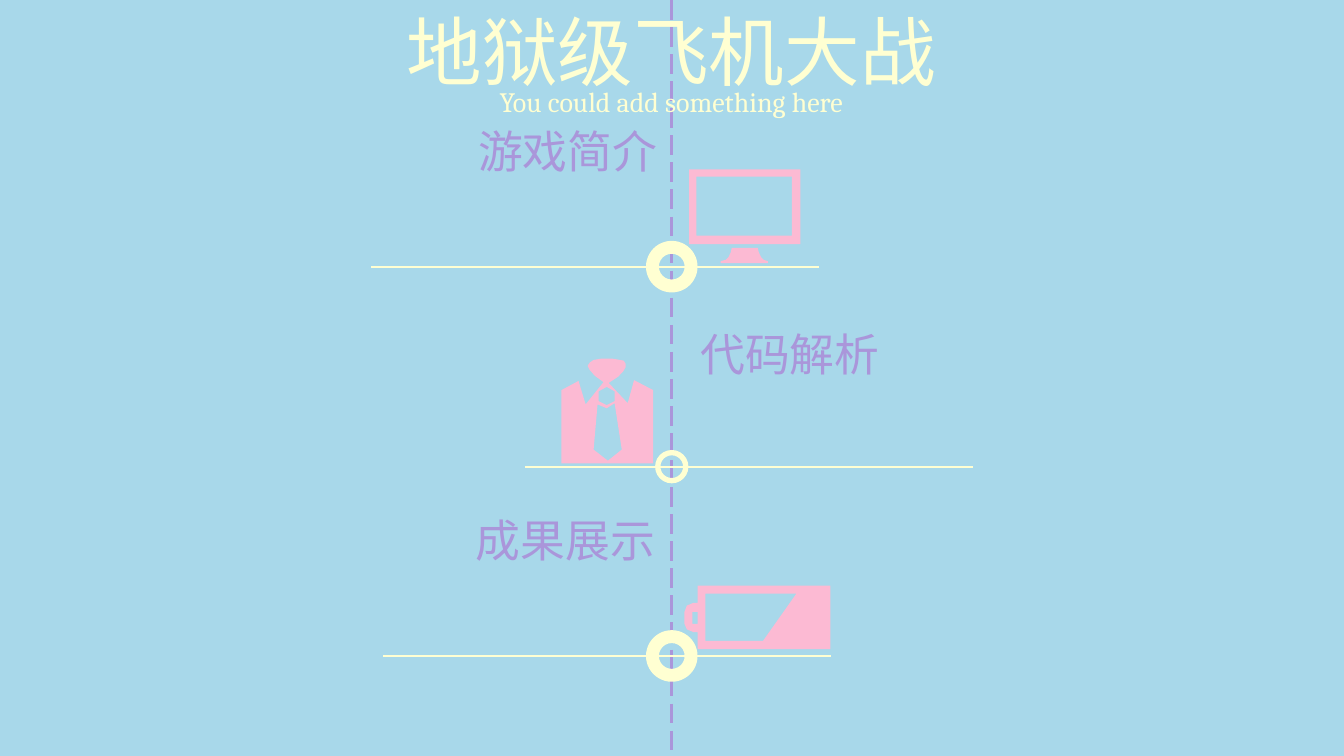
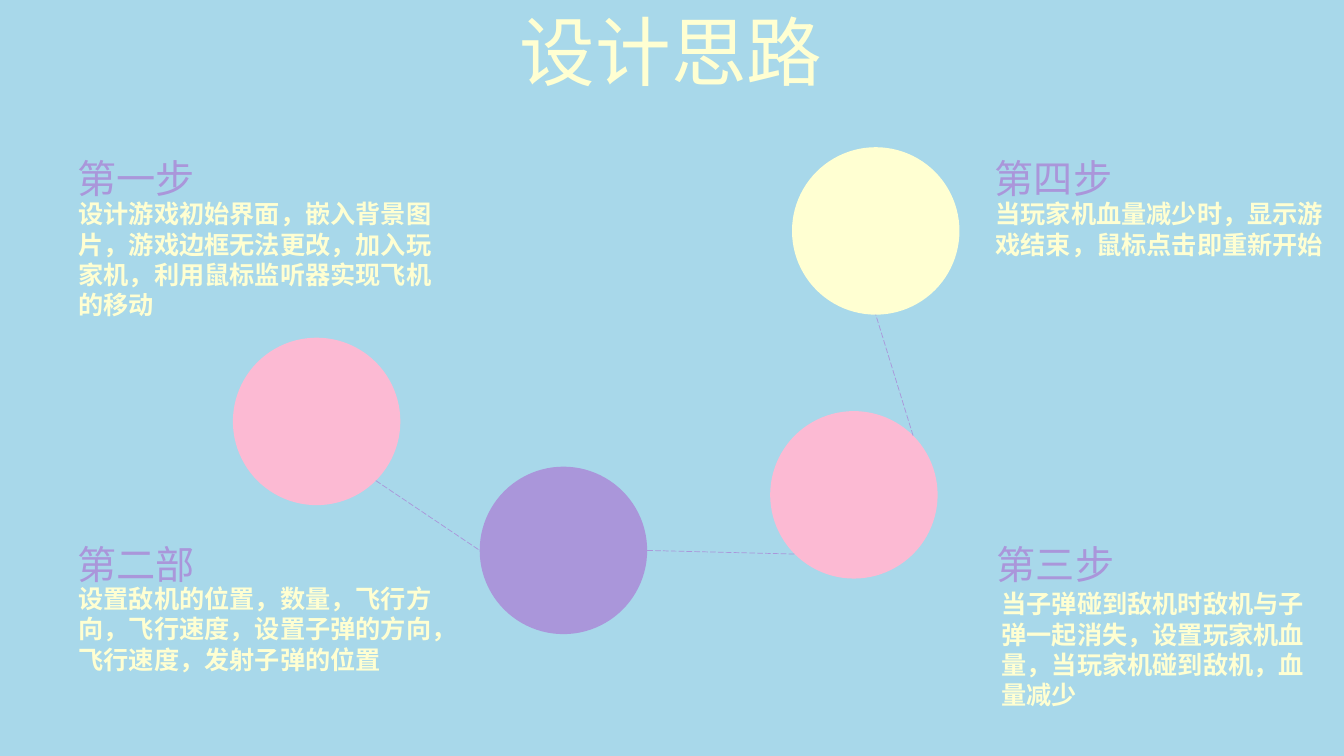
from math import cos, radians, sin

from pptx import Presentation
from pptx.dml.color import RGBColor
from pptx.enum.dml import MSO_LINE_DASH_STYLE as Dash
from pptx.enum.shapes import MSO_CONNECTOR as Link, MSO_SHAPE as Kind
from pptx.enum.text import PP_ALIGN as Align
from pptx.oxml.ns import qn
from pptx.util import Cm, Pt
from lxml.etree import SubElement

# Shared look
WIDE, HIGH = 33.87, 19.05
MID = 16.93
SKY, CREAM, PINK, LILAC = "A8D8EA", "FFFFD2", "FCBAD3", "AA96DA"
HEAD, SUB, BODY = "Roboto", "Cambria", "Noto Sans CJK SC"

# Timeline: height, line start, ring size, ring hole
ROWS = [
    (6.72, 9.35, 1.3, 0.25),
    (11.76, 13.23, 0.84, 0.16),
    (16.53, 9.65, 1.3, 0.25),
]
SPAN = 11.28
LABELS = [
    ("游戏简介", 8.26, 3, Align.RIGHT),
    ("代码解析", 17.4, 8.1, Align.LEFT),
    ("成果展示", 8.2, 12.8, Align.RIGHT),
]


def box(left, top, right, bottom):
    return [(left, top), (right, top), (right, bottom), (left, bottom)]


# Icons: closed outlines, the inner ones cut holes
SCREEN = [
    box(17.37, 4.27, 20.17, 6.15),
    box(17.55, 4.45, 19.96, 5.94),
    [(18.44, 6.25), (19.1, 6.25), (19.12, 6.35), (19.18, 6.48),
     (19.25, 6.55), (19.35, 6.58), (19.35, 6.63), (18.16, 6.63),
     (18.16, 6.58), (18.29, 6.55), (18.36, 6.48), (18.42, 6.35)],
]
SHIRT = [
    [(15.98, 9.58), (15.82, 10.16), (15.34, 9.65), (15.57, 9.5),
     (15.7, 9.37), (15.77, 9.25), (15.77, 9.17), (15.72, 9.09),
     (15.57, 9.06), (15.44, 9.04), (15.14, 9.04), (14.96, 9.07),
     (14.86, 9.14), (14.81, 9.22), (14.86, 9.32), (14.99, 9.47),
     (15.21, 9.63), (14.76, 10.19), (14.58, 9.6), (14.15, 9.83),
     (14.15, 11.68), (16.46, 11.68), (16.46, 9.83)],
    [(15.29, 9.75), (15.49, 9.86), (15.49, 10.11),
     (15.29, 10.21), (15.09, 10.11), (15.09, 9.86)],
    [(15.32, 11.61), (14.96, 11.33), (15.06, 10.19),
     (15.29, 10.29), (15.49, 10.16), (15.67, 11.33)],
]
POWER = [
    [(17.58, 14.76), (20.93, 14.76), (20.93, 16.36), (17.58, 16.36),
     (17.58, 15.93), (17.48, 15.93), (17.31, 15.86), (17.25, 15.72),
     (17.25, 15.42), (17.31, 15.26), (17.48, 15.19), (17.58, 15.19)],
    [(17.78, 14.96), (20.07, 14.96), (19.23, 16.15), (17.78, 16.15)],
    box(17.45, 15.42, 17.58, 15.72),
]

# Design steps: heading, its place, text, its place and width
STEPS = [
    ("第一步", 1.7, 3.76,
     "设计游戏初始界面，嵌入背景图片，游戏边框无法更改，加入玩家机，利用鼠标监听器实现飞机的移动",
     1.73, 4.88, 9.8),
    ("第二部", 1.7, 13.48,
     "设置敌机的位置，数量，飞行方向，飞行速度，设置子弹的方向，飞行速度，发射子弹的位置",
     1.73, 14.58, 9.8),
    ("第三步", 24.87, 13.48,
     "当子弹碰到敌机时敌机与子弹一起消失，设置玩家机血量，当玩家机碰到敌机，血量减少",
     24.99, 14.71, 8.15),
    ("第四步", 24.82, 3.76,
     "当玩家机血量减少时，显示游戏结束，鼠标点击即重新开始",
     24.84, 4.88, 9.14),
]
SIZE = 4.22
DISCS = [
    (7.98, 10.62, PINK),
    (14.2, 13.87, LILAC),
    (21.52, 12.47, PINK),
    (22.07, 5.82, CREAM),
]
# Angle at which each link leaves one disc and meets the next
TURNS = [(45, 180), (0, 135), (-45, 90)]


def tint(code):
    return RGBColor.from_string(code)


def page(deck):
    slide = deck.slides.add_slide(deck.slide_layouts[6])
    fill = slide.background.fill
    fill.solid()
    fill.fore_color.rgb = tint(SKY)
    return slide


def text(slide, words, x, y, w, h, size, face, color,
         align=Align.LEFT, bold=False):
    frame = slide.shapes.add_textbox(Cm(x), Cm(y), Cm(w), Cm(h)).text_frame
    frame.word_wrap = True
    para = frame.paragraphs[0]
    para.text = words
    para.alignment = align
    font = para.font
    font.size = Pt(size)
    font.bold = bold
    font.color.rgb = tint(color)
    font.name = face
    # East Asian letters take the same face
    props = para._p.pPr.find(qn("a:defRPr"))
    SubElement(props, qn("a:ea")).set("typeface", face)


def title(slide, words):
    text(slide, words, 4.24, 0, 25.35, 2.57, 54, HEAD, CREAM, Align.CENTER)


def line(slide, start, end, color, width, dash=None):
    ends = [Cm(n) for n in (*start, *end)]
    link = slide.shapes.add_connector(Link.STRAIGHT, *ends)
    link.line.color.rgb = tint(color)
    link.line.width = Pt(width)
    if dash:
        link.line.dash_style = dash
    SubElement(link._element.spPr, qn("a:effectLst"))


def paint(shape, color):
    shape.shadow.inherit = False
    shape.fill.solid()
    shape.fill.fore_color.rgb = tint(color)
    shape.line.fill.background()


def disc(slide, kind, x, y, size, color):
    """Draw a round shape about its centre."""
    shape = slide.shapes.add_shape(
        kind, Cm(x - size / 2), Cm(y - size / 2), Cm(size), Cm(size))
    paint(shape, color)
    return shape


def icon(slide, loops):
    loops = [[(Cm(x), Cm(y)) for x, y in loop] for loop in loops]
    pen = slide.shapes.build_freeform(*loops[0][0])
    for loop in loops:
        if loop is not loops[0]:
            pen.move_to(*loop[0])
        pen.add_line_segments(loop[1:], close=True)
    paint(pen.convert_to_shape(), PINK)


def rim(spot, angle):
    """Point on the edge of a disc, clockwise from its right side."""
    x, y, _ = spot
    turn = radians(angle)
    return x + SIZE / 2 * cos(turn), y + SIZE / 2 * sin(turn)


def agenda(deck):
    slide = page(deck)
    line(slide, (16.92, 0), (16.92, HIGH), LILAC, 1.75, Dash.LONG_DASH)
    title(slide, "地狱级飞机大战")
    text(slide, "You could add something here", 11.33, 2.01, 11.18, 1.12,
         20, SUB, CREAM, Align.CENTER)
    for y, x, _, _ in ROWS:
        line(slide, (x, y), (x + SPAN, y), CREAM, 1.5)
    for loops in (SCREEN, SHIRT, POWER):
        icon(slide, loops)
    for y, _, size, hole in ROWS:
        ring = disc(slide, Kind.DONUT, MID, y, size, CREAM)
        ring.adjustments[0] = hole
    for words, x, y, align in LABELS:
        text(slide, words, x, y, 8.56, 1.63, 32, HEAD, LILAC, align)


def design(deck):
    slide = page(deck)
    title(slide, "设计思路")
    for x, y, color in DISCS:
        disc(slide, Kind.OVAL, x, y, SIZE, color)
    for one, two, (out, into) in zip(DISCS, DISCS[1:], TURNS):
        line(slide, rim(one, out), rim(two, into), LILAC, 0.5, Dash.LONG_DASH)
    for head, hx, hy, body, bx, by, width in STEPS:
        text(slide, head, hx, hy, 7.06, 1.45, 28, HEAD, LILAC)
        text(slide, body, bx, by, width, 3.33, 18, BODY, CREAM, bold=True)


def main():
    deck = Presentation()
    deck.slide_width, deck.slide_height = Cm(WIDE), Cm(HIGH)
    agenda(deck)
    design(deck)
    deck.save("out.pptx")


if __name__ == "__main__":
    main()
